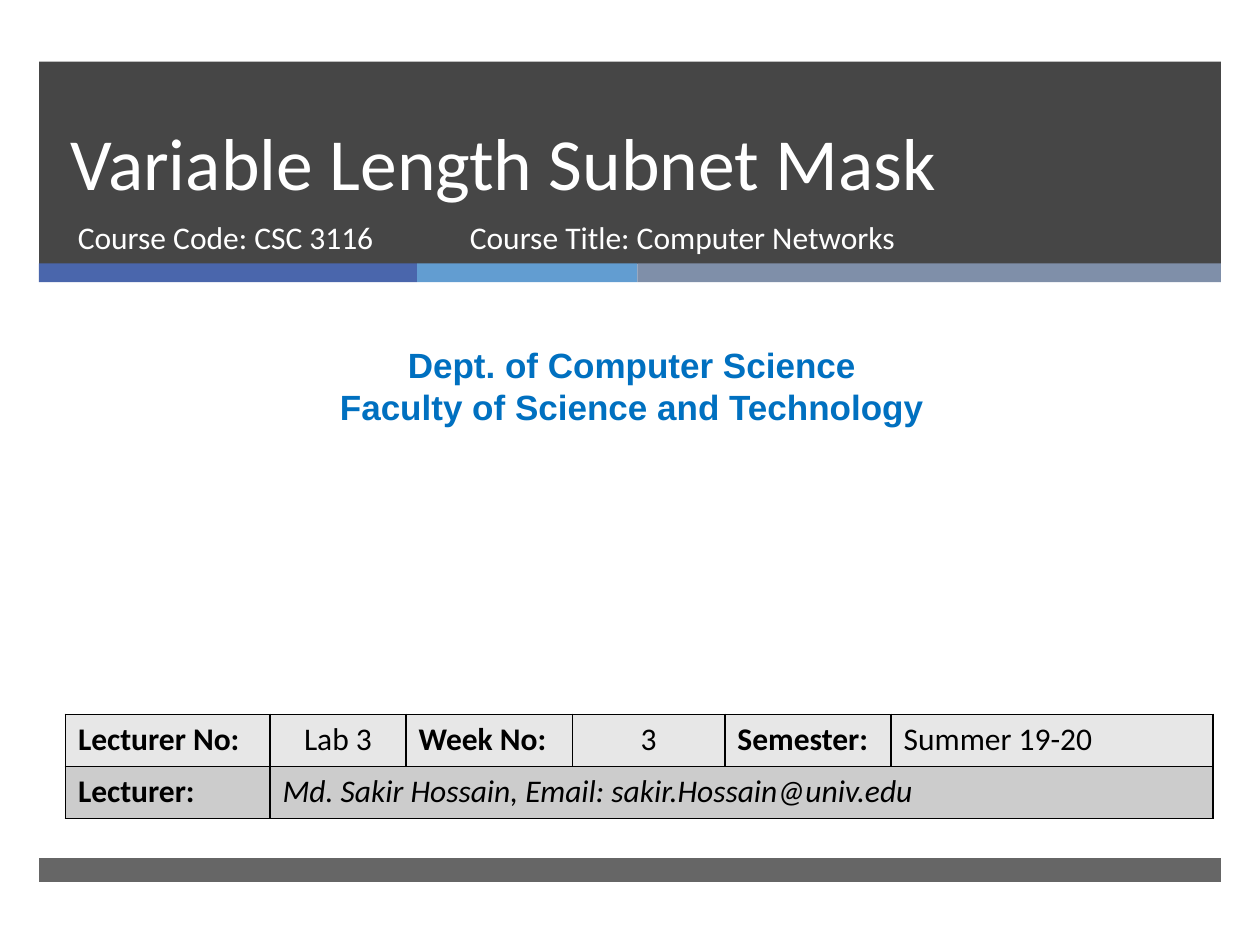
from lxml import etree
from pptx import Presentation
from pptx.dml.color import RGBColor
from pptx.enum.shapes import MSO_SHAPE
from pptx.enum.text import MSO_ANCHOR, MSO_AUTO_SIZE, PP_ALIGN
from pptx.oxml.ns import qn
from pptx.util import Pt

RECTANGLE = MSO_SHAPE.RECTANGLE
LEFT, CENTER = PP_ALIGN.LEFT, PP_ALIGN.CENTER
TOP, BOTTOM = MSO_ANCHOR.TOP, MSO_ANCHOR.BOTTOM
NO_AUTOFIT = MSO_AUTO_SIZE.NONE
TITLE_ONLY = 5

COLORS = {
    "dark": "262626", "blue": "4A66AC", "sky": "629DD1", "slate": "7F8FA9",
    "white": "FFFFFF", "black": "000000", "department": "0070C0",
    "light row": "E7E7E7", "dark row": "CCCCCC",
}
BAND_LEFT, BAND_WIDTH = 22.3, 675.4
STRIPES = [("blue", 216), ("sky", 126), ("slate", 333.4)]
COLUMN_WIDTHS = [116.9, 77.8, 95, 87.2, 95, 183.8]
ROW_HEIGHT = 29.8
DETAILS = ["Lecturer No:", "Lab 3", "Week No:", "3", "Semester:", "Summer 19-20"]
LECTURER = "Md. Sakir Hossain, Email: sakir.Hossain@univ.edu"


def color(name):
    return RGBColor.from_string(COLORS[name])


def write_text(frame, lines, color_name, align=LEFT, **font_format):
    font_format = {"name": "Calibri", "size": Pt(18), "bold": False} | font_format
    frame.text = "\n".join(lines)
    for paragraph in frame.paragraphs:
        paragraph.alignment = align
        font = paragraph.runs[0].font
        font.color.rgb = color(color_name)
        for attribute, value in font_format.items():
            setattr(font, attribute, value)


def add_band(slide, left, top, width, height, color_name, opacity=100):
    band = slide.shapes.add_shape(RECTANGLE, Pt(left), Pt(top), Pt(width), Pt(height))
    band.shadow.inherit = False
    band.fill.solid()
    band.fill.fore_color.rgb = color(color_name)
    band.line.fill.background()
    if opacity < 100:
        fill_color = band.element.spPr.find(qn("a:solidFill"))[0]
        etree.SubElement(fill_color, qn("a:alpha"), val=str(opacity * 1000))


def add_bands(slide):
    add_band(slide, BAND_LEFT, 35.3, BAND_WIDTH, 115.6, "dark", 85)
    left = BAND_LEFT
    for color_name, width in STRIPES:
        add_band(slide, left, 150.5, width, 10.8, color_name)
        left += width
    add_band(slide, BAND_LEFT, 490.3, BAND_WIDTH, 13.7, "dark", 70)


def place_title(slide, text):
    """Format the title placeholder and bring it in front of the bands."""
    title = slide.shapes.title
    box = {"left": 33.1, "top": 35.3, "width": 614.9, "height": 85.7}
    for attribute, value in box.items():
        setattr(title, attribute, Pt(value))
    frame = title.text_frame
    write_text(frame, [text], "white", size=Pt(42))
    frame.paragraphs[0].line_spacing = Pt(46)
    frame.auto_size = NO_AUTOFIT
    frame.vertical_anchor = BOTTOM
    slide.shapes.element.append(title.element)


def add_text(slide, left, top, width, height, lines, color_name, **text_format):
    box = slide.shapes.add_textbox(Pt(left), Pt(top), Pt(width), Pt(height))
    box.text_frame.word_wrap = True
    box.text_frame.vertical_anchor = TOP
    write_text(box.text_frame, lines, color_name, **text_format)


def add_cell_borders(cell):
    properties = cell._tc.get_or_add_tcPr()
    for position, side in enumerate(("lnL", "lnR", "lnT", "lnB")):
        line = etree.Element(qn(f"a:{side}"), w=str(Pt(1)))
        fill = etree.SubElement(line, qn("a:solidFill"))
        etree.SubElement(fill, qn("a:srgbClr"), val=COLORS["black"])
        properties.insert(position, line)


def add_details_table(slide):
    frame = slide.shapes.add_table(
        2, len(COLUMN_WIDTHS), Pt(37.4), Pt(408.2),
        Pt(sum(COLUMN_WIDTHS)), Pt(2 * ROW_HEIGHT))
    table = frame.table
    for column, width in zip(table.columns, COLUMN_WIDTHS):
        column.width = Pt(width)
    for row, fill_name in zip(table.rows, ("light row", "dark row")):
        row.height = Pt(ROW_HEIGHT)
        for cell in row.cells:
            cell.fill.solid()
            cell.fill.fore_color.rgb = color(fill_name)
            add_cell_borders(cell)
    table.cell(1, 1).merge(table.cell(1, len(COLUMN_WIDTHS) - 1))
    for index, text in enumerate(DETAILS):
        write_text(table.cell(0, index).text_frame, [text], "black",
                   align=CENTER if index in (1, 3) else LEFT, bold=index % 2 == 0)
    write_text(table.cell(1, 0).text_frame, ["Lecturer:"], "black", bold=True)
    write_text(table.cell(1, 1).text_frame, [LECTURER], "black", italic=True)


def main():
    presentation = Presentation()
    presentation.slide_width, presentation.slide_height = Pt(720), Pt(540)
    slide = presentation.slides.add_slide(presentation.slide_layouts[TITLE_ONLY])
    add_bands(slide)
    place_title(slide, "Variable Length Subnet Mask")
    add_text(slide, 37.4, 121, 219.6, 38.2, ["Course Code: CSC 3116"], "white")
    add_text(slide, 5.8, 193, 710.6, 55.4,
             ["Dept. of Computer Science", "Faculty of Science and Technology"],
             "department", align=CENTER, name="Arial", size=Pt(20), bold=True)
    add_text(slide, 261.4, 121, 327.6, 38.2, ["Course Title: Computer Networks"], "white")
    add_details_table(slide)
    presentation.save("out.pptx")


if __name__ == "__main__":
    main()
